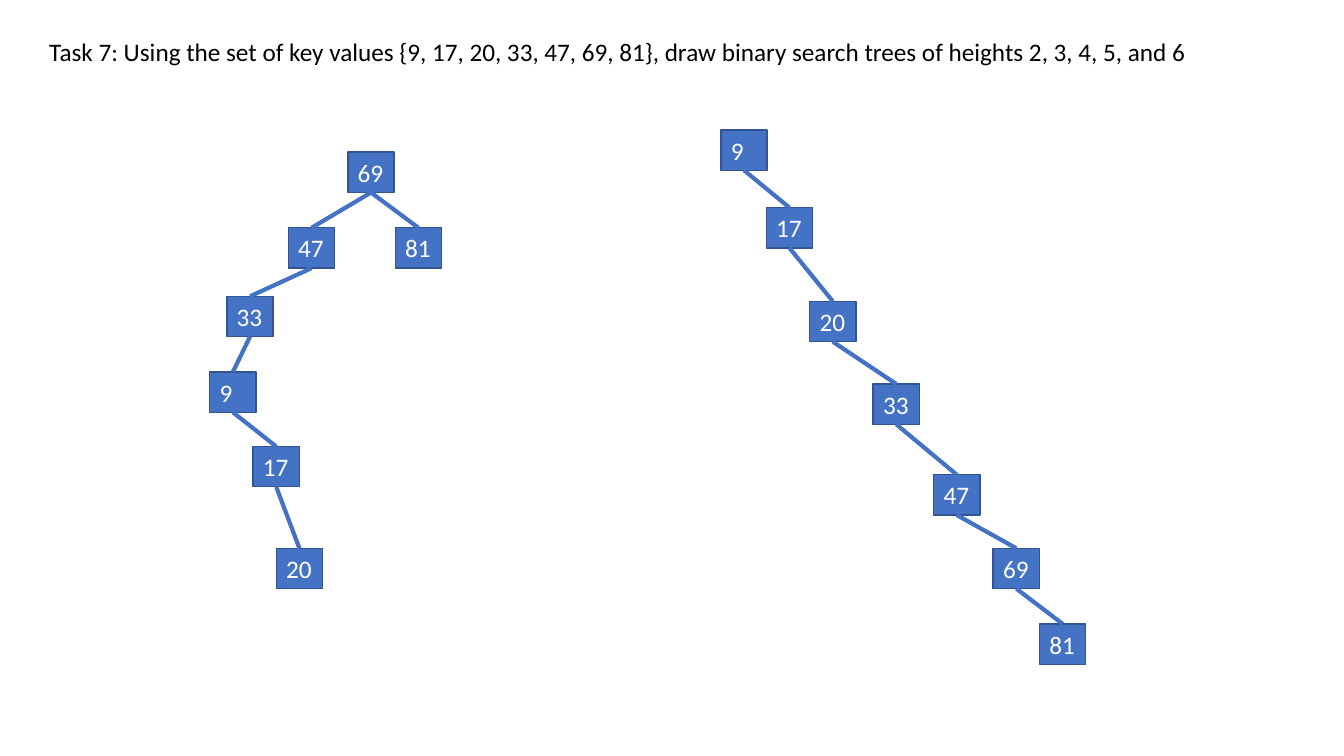
from dataclasses import dataclass
from typing import Optional

import pptx
import pptx.dml.color
import pptx.enum.shapes
import pptx.enum.text
import pptx.util
from lxml import etree

Inches = pptx.util.Inches
Pt = pptx.util.Pt
RGBColor = pptx.dml.color.RGBColor

BLACK = RGBColor(0x00, 0x00, 0x00)
WHITE = RGBColor(0xFF, 0xFF, 0xFF)
BLUE = RGBColor(0x44, 0x72, 0xC4)
DARK_BLUE = RGBColor(0x32, 0x54, 0x91)

NODE_WIDTH, NODE_HEIGHT = 0.46, 0.4
BOTTOM, TOP = 2, 0  # connection sites of a rectangle


@dataclass(frozen=True)
class Node:
    key: int
    left: float
    top: float
    parent: Optional[int] = None


# Each tree lists parents before their children
HEIGHT_FIVE_TREE = [
    Node(69, 3.45, 1.51),
    Node(47, 2.86, 2.26, parent=69),
    Node(81, 3.92, 2.26, parent=69),
    Node(33, 2.25, 2.94, parent=47),
    Node(9, 2.08, 3.69, parent=33),
    Node(17, 2.51, 4.43, parent=9),
    Node(20, 2.74, 5.44, parent=17),
]
HEIGHT_SIX_TREE = [
    Node(9, 7.15, 1.29),
    Node(17, 7.6, 2.06, parent=9),
    Node(20, 8.03, 2.99, parent=17),
    Node(33, 8.66, 3.81, parent=20),
    Node(47, 9.26, 4.71, parent=33),
    Node(69, 9.85, 5.44, parent=47),
    Node(81, 10.31, 6.19, parent=69),
]


def write_text(shape, text: str, color: RGBColor) -> None:
    frame = shape.text_frame
    frame.word_wrap = True
    frame.vertical_anchor = pptx.enum.text.MSO_ANCHOR.TOP
    paragraph = frame.paragraphs[0]
    paragraph.text = text
    paragraph.alignment = pptx.enum.text.PP_ALIGN.LEFT
    paragraph.font.name = "Calibri"
    paragraph.font.size = Pt(18)
    paragraph.font.color.rgb = color


def draw_node(slide, node: Node):
    shape = slide.shapes.add_shape(
        pptx.enum.shapes.MSO_SHAPE.RECTANGLE,
        Inches(node.left), Inches(node.top), Inches(NODE_WIDTH), Inches(NODE_HEIGHT))
    shape.shadow.inherit = False
    shape.fill.solid()
    shape.fill.fore_color.rgb = BLUE
    shape.line.color.rgb = DARK_BLUE
    shape.line.width = Pt(1)
    write_text(shape, str(node.key), WHITE)
    return shape


def draw_edge(slide, child, parent) -> None:
    edge = slide.shapes.add_connector(
        pptx.enum.shapes.MSO_CONNECTOR.STRAIGHT, 0, 0, 0, 0)
    edge.begin_connect(child, TOP)
    edge.end_connect(parent, BOTTOM)
    edge.line.color.rgb = BLUE
    edge.line.width = Pt(3)
    etree.SubElement(edge._element.spPr, pptx.oxml.ns.qn("a:effectLst"))


def draw_tree(slide, tree: list[Node]) -> None:
    shapes = {node.key: draw_node(slide, node) for node in tree}
    for node in tree:
        if node.parent is not None:
            draw_edge(slide, shapes[node.key], shapes[node.parent])


def main() -> None:
    presentation = pptx.Presentation()
    presentation.slide_width = Inches(13.33)
    presentation.slide_height = Inches(7.5)
    slide = presentation.slides.add_slide(presentation.slide_layouts[6])

    # Task statement
    task = slide.shapes.add_textbox(Inches(0.39), Inches(0.31), Inches(12.56), Inches(0.4))
    write_text(
        task,
        "Task 7: Using the set of key values {9, 17, 20, 33, 47, 69, 81}, "
        "draw binary search trees of heights 2, 3, 4, 5, and 6",
        BLACK)

    # Binary search trees
    for tree in (HEIGHT_SIX_TREE, HEIGHT_FIVE_TREE):
        draw_tree(slide, tree)

    presentation.save("out.pptx")


if __name__ == "__main__":
    main()
